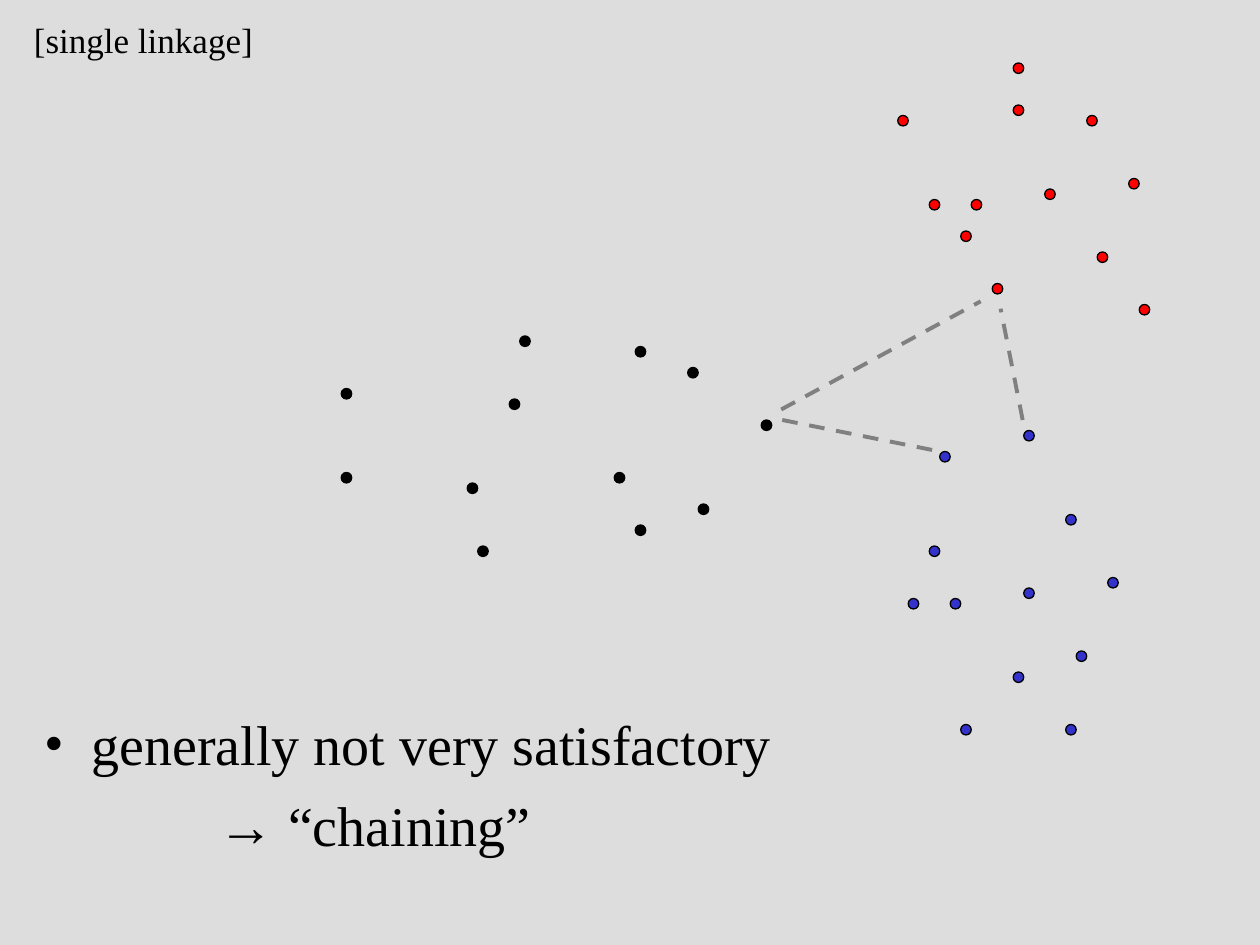
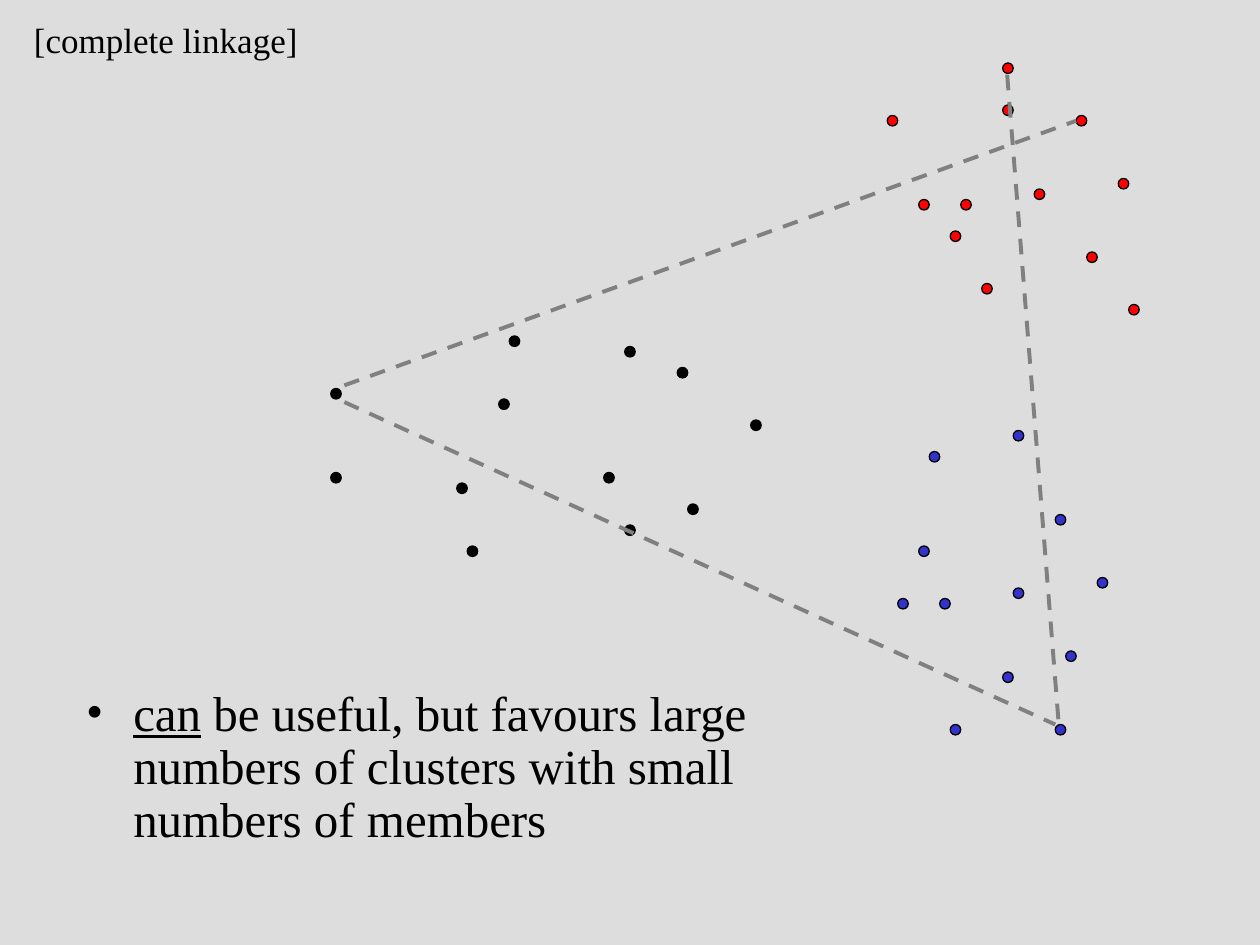
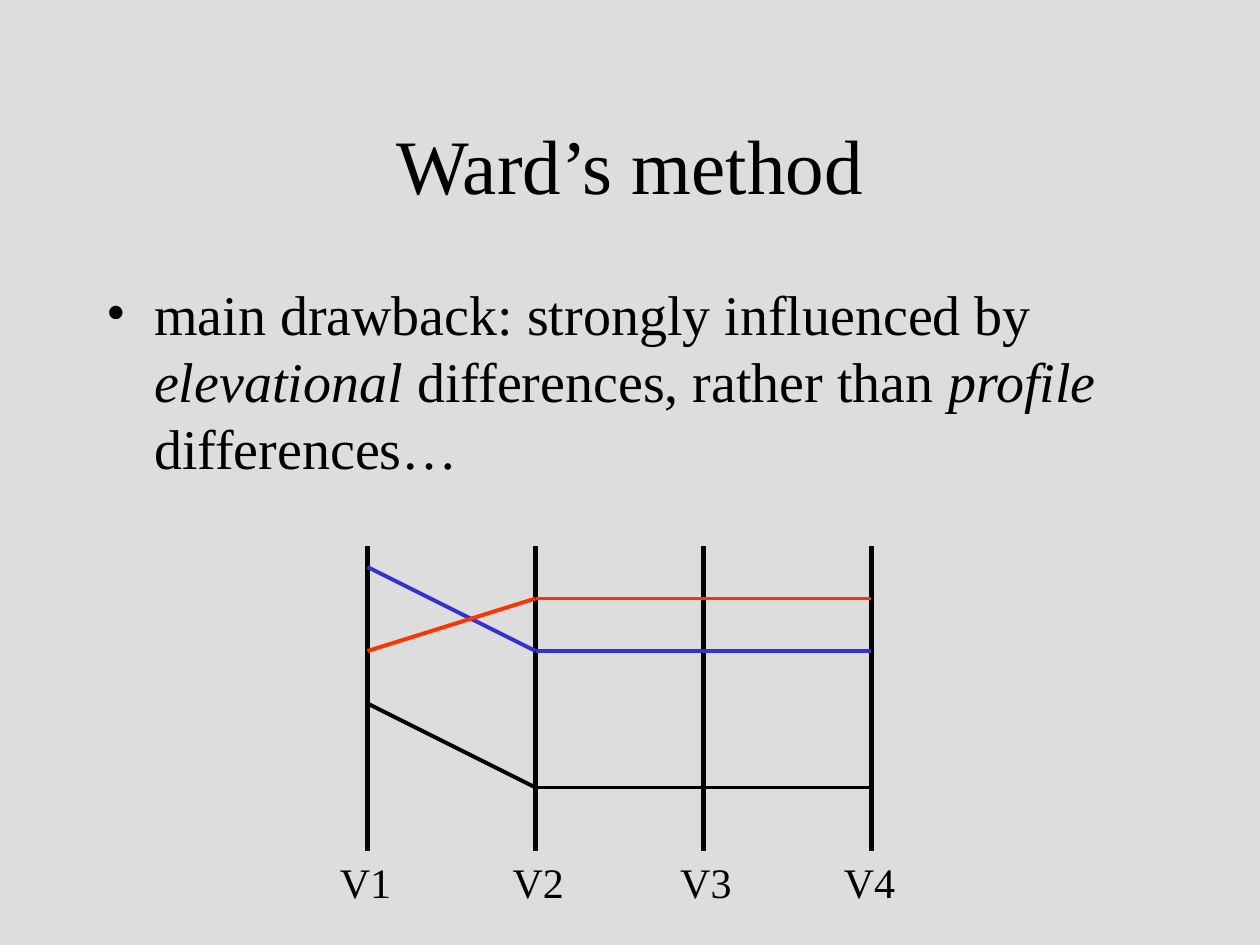
"""Build three slides on linkage rules and Ward's method in cluster analysis."""

from dataclasses import dataclass
from typing import Optional

import lxml.etree
import pptx
import pptx.dml.color
import pptx.enum.dml
import pptx.enum.shapes
import pptx.enum.text
import pptx.oxml.ns
import pptx.presentation
import pptx.shapes.autoshape
import pptx.slide
import pptx.text.text
import pptx.util

Cm = pptx.util.Cm
Pt = pptx.util.Pt
RGBColor = pptx.dml.color.RGBColor
Align = pptx.enum.text.PP_ALIGN
Point = tuple[float, float]

BACKGROUND = RGBColor(0xDD, 0xDD, 0xDD)
BLACK = RGBColor(0x00, 0x00, 0x00)
BLUE = RGBColor(0x33, 0x33, 0xCC)
RED = RGBColor(0xFF, 0x00, 0x00)
ORANGE = RGBColor(0xFF, 0x33, 0x00)
GREY = RGBColor(0x80, 0x80, 0x80)
FONT = "Times New Roman"
GRID_CM = 2.54 / 12


@dataclass(frozen=True)
class Box:
    """A rectangle in centimetres."""

    left: float
    top: float
    width: float
    height: float


@dataclass(frozen=True)
class TextRun:
    """A stretch of text with its own emphasis."""

    text: str
    italic: Optional[bool] = None
    underline: Optional[bool] = None
    font: Optional[str] = None


@dataclass(frozen=True)
class TextLine:
    """A paragraph of runs with its spacing and bullet."""

    runs: list[TextRun]
    size: float
    space_before: float = 0
    line_spacing: float = 1.0
    align: Align = Align.LEFT
    bullet: Optional[str] = None
    indent: Optional[float] = None


@dataclass(frozen=True)
class Cluster:
    """Points of one colour, as grid columns and rows."""

    color: RGBColor
    points: list[Point]


@dataclass(frozen=True)
class Link:
    """A dashed line between two grid positions."""

    start: Point
    end: Point


@dataclass(frozen=True)
class LinkageSlide:
    """Content of one slide about a linkage rule."""

    title: str
    title_width: float
    column_shift: int
    links: list[Link]
    body_box: Box
    body: list[TextLine]


@dataclass(frozen=True)
class Profile:
    """A case's values over the variables, as grid rows."""

    color: RGBColor
    rows: list[int]


@dataclass(frozen=True)
class Axis:
    """A vertical variable axis with its label position."""

    name: str
    column: int
    label_left: float


CLUSTERS = [
    Cluster(BLACK, [(33, 45), (46, 52), (61, 33), (61, 50), (73, 40), (67, 48),
                    (33, 37), (45, 46), (50, 32), (59, 45), (66, 35), (49, 38)]),
    Cluster(BLUE, [(91, 57), (102, 69), (98, 41), (97, 64), (106, 55), (103, 62),
                   (89, 52), (92, 69), (90, 43), (98, 56), (102, 49), (87, 57)]),
    Cluster(RED, [(93, 19), (109, 29), (97, 10), (95, 27), (108, 17), (105, 24),
                  (86, 11), (92, 22), (97, 6), (100, 18), (104, 11), (89, 19)]),
]

LINKAGE_SLIDES = [
    LinkageSlide(
        "[single linkage]", 5.72, 0,
        [Link((74.5, 40), (89.5, 43)),
         Link((74.4, 39), (93.4, 28.7)),
         Link((97.4, 40), (95.3, 29.4))],
        Box(0.64, 14.18, 17.57, 4.02),
        [TextLine([TextRun("generally not very satisfactory")], 32, 8, bullet="•"),
         TextLine([TextRun("→", font="Arial"), TextRun(" “chaining”")], 32, 8, indent=3.5)],
    ),
    LinkageSlide(
        "[complete linkage]", 6.14, -1,
        [Link((32.8, 38.3), (100.5, 69)),
         Link((32.8, 36.7), (102.5, 11.5)),
         Link((100.8, 68.5), (95.9, 6.8))],
        Box(1.48, 13.76, 16.09, 3.6),
        [TextLine([TextRun("can", underline=True),
                   TextRun(" be useful, but favours large numbers of clusters"
                           " with small numbers of members")],
                  28, 7, 0.9, bullet="•")],
    ),
]

WARD_BODY = [
    TextLine([TextRun("main drawback: strongly influenced by "),
              TextRun("elevational", italic=True),
              TextRun(" differences, rather than "),
              TextRun("profile", italic=True),
              TextRun(" differences…")],
             32, 8, bullet="•")
]
AXIS_ROWS = (52, 81)
AXES = [Axis("V1", 35, 6.2), Axis("V2", 51, 9.68), Axis("V3", 67, 13.06), Axis("V4", 83, 16.36)]
PROFILES = [
    Profile(BLUE, [54, 62, 62, 62]),
    Profile(BLACK, [67, 75, 75, 75]),
    Profile(ORANGE, [62, 57, 57, 57]),
]


def grid(steps: float) -> pptx.util.Length:
    """Turn grid steps into a length."""
    return Cm(steps * GRID_CM)


def format_bullet(paragraph: pptx.text.text._Paragraph, line: TextLine) -> None:
    """Give a paragraph its bullet, or an indent without one."""
    properties = paragraph._p.get_or_add_pPr()
    if line.bullet:
        lxml.etree.SubElement(properties, pptx.oxml.ns.qn("a:buFont"), typeface=FONT)
        lxml.etree.SubElement(properties, pptx.oxml.ns.qn("a:buChar"), char=line.bullet)
    elif line.indent is not None:
        properties.set("marL", str(Cm(line.indent)))
        properties.set("indent", "0")
        lxml.etree.SubElement(properties, pptx.oxml.ns.qn("a:buNone"))


def write_text(shape: pptx.shapes.autoshape.Shape, box: Box, lines: list[TextLine],
               anchor: pptx.enum.text.MSO_ANCHOR = pptx.enum.text.MSO_ANCHOR.TOP) -> None:
    """Place a shape and fill it with formatted paragraphs."""
    shape.left, shape.top = Cm(box.left), Cm(box.top)
    shape.width, shape.height = Cm(box.width), Cm(box.height)
    frame = shape.text_frame
    frame.word_wrap = True
    frame.auto_size = pptx.enum.text.MSO_AUTO_SIZE.NONE
    frame.vertical_anchor = anchor
    for index, line in enumerate(lines):
        paragraph = frame.add_paragraph() if index else frame.paragraphs[0]
        paragraph.alignment = line.align
        paragraph.line_spacing = line.line_spacing
        paragraph.space_before = Pt(line.space_before)
        format_bullet(paragraph, line)
        paragraph.font.name = FONT
        paragraph.font.size = Pt(line.size)
        paragraph.font.color.rgb = BLACK
        for text_run in line.runs:
            run = paragraph.add_run()
            run.text = text_run.text
            if text_run.italic:
                run.font.italic = True
            if text_run.underline:
                run.font.underline = True
            if text_run.font:
                run.font.name = text_run.font


def draw_line(slide: pptx.slide.Slide, start: Point, end: Point, color: RGBColor,
              width: float = 2.25, dashed: bool = False) -> None:
    """Draw a straight line between two grid positions."""
    connector = slide.shapes.add_connector(
        pptx.enum.shapes.MSO_CONNECTOR.STRAIGHT,
        grid(start[0]), grid(start[1]), grid(end[0]), grid(end[1]))
    connector.line.color.rgb = color
    connector.line.width = Pt(width)
    if dashed:
        connector.line.dash_style = pptx.enum.dml.MSO_LINE.DASH
    lxml.etree.SubElement(connector.element.spPr, pptx.oxml.ns.qn("a:effectLst"))


def draw_cluster(slide: pptx.slide.Slide, cluster: Cluster, column_shift: int) -> None:
    """Draw the dots of one cluster, each one grid step wide."""
    for column, row in cluster.points:
        dot = slide.shapes.add_shape(
            pptx.enum.shapes.MSO_SHAPE.OVAL,
            grid(column + column_shift - 0.5), grid(row), grid(1), grid(1))
        dot.shadow.inherit = False
        dot.fill.solid()
        dot.fill.fore_color.rgb = cluster.color
        dot.line.color.rgb = BLACK
        dot.line.width = Pt(0.75)


def add_slide(presentation: pptx.presentation.Presentation, title_box: Box, title: TextLine,
              body_box: Box, body: list[TextLine]) -> pptx.slide.Slide:
    """Add a slide with its title and list."""
    slide = presentation.slides.add_slide(presentation.slide_layouts[1])
    write_text(slide.shapes.title, title_box, [title], pptx.enum.text.MSO_ANCHOR.MIDDLE)
    write_text(slide.placeholders[1], body_box, body)
    return slide


def add_linkage_slide(presentation: pptx.presentation.Presentation, content: LinkageSlide) -> None:
    """Add a slide showing how a linkage rule joins the clusters."""
    slide = add_slide(presentation, Box(0.43, 0.25, content.title_width, 1.1),
                      TextLine([TextRun(content.title)], 20), content.body_box, content.body)
    for cluster in CLUSTERS:
        draw_cluster(slide, cluster, content.column_shift)
    for link in content.links:
        draw_line(slide, link.start, link.end, GREY, dashed=True)


def add_ward_slide(presentation: pptx.presentation.Presentation) -> None:
    """Add the slide comparing profiles over four variables."""
    slide = add_slide(presentation, Box(1.9, 1.7, 21.59, 3.18),
                      TextLine([TextRun("Ward’s method")], 44, align=Align.CENTER),
                      Box(1.9, 5.5, 21.59, 4.45), WARD_BODY)
    top, bottom = AXIS_ROWS
    for axis in AXES:
        draw_line(slide, (axis.column, top), (axis.column, bottom), BLACK, 3)
        label = slide.shapes.add_textbox(0, 0, 0, 0)
        write_text(label, Box(axis.label_left, 17.15, 2.34, 1.27),
                   [TextLine([TextRun(axis.name)], 24, align=Align.CENTER)])
    for profile in PROFILES:
        points = [(axis.column, row) for axis, row in zip(AXES, profile.rows)]
        for start, end in zip(points, points[1:]):
            draw_line(slide, start, end, profile.color)


def main() -> None:
    """Build and save the presentation."""
    presentation = pptx.Presentation()
    presentation.slide_width, presentation.slide_height = Cm(25.4), Cm(19.05)
    background = presentation.slide_master.background.fill
    background.solid()
    background.fore_color.rgb = BACKGROUND
    for content in LINKAGE_SLIDES:
        add_linkage_slide(presentation, content)
    add_ward_slide(presentation)
    presentation.save("out.pptx")


if __name__ == "__main__":
    main()
